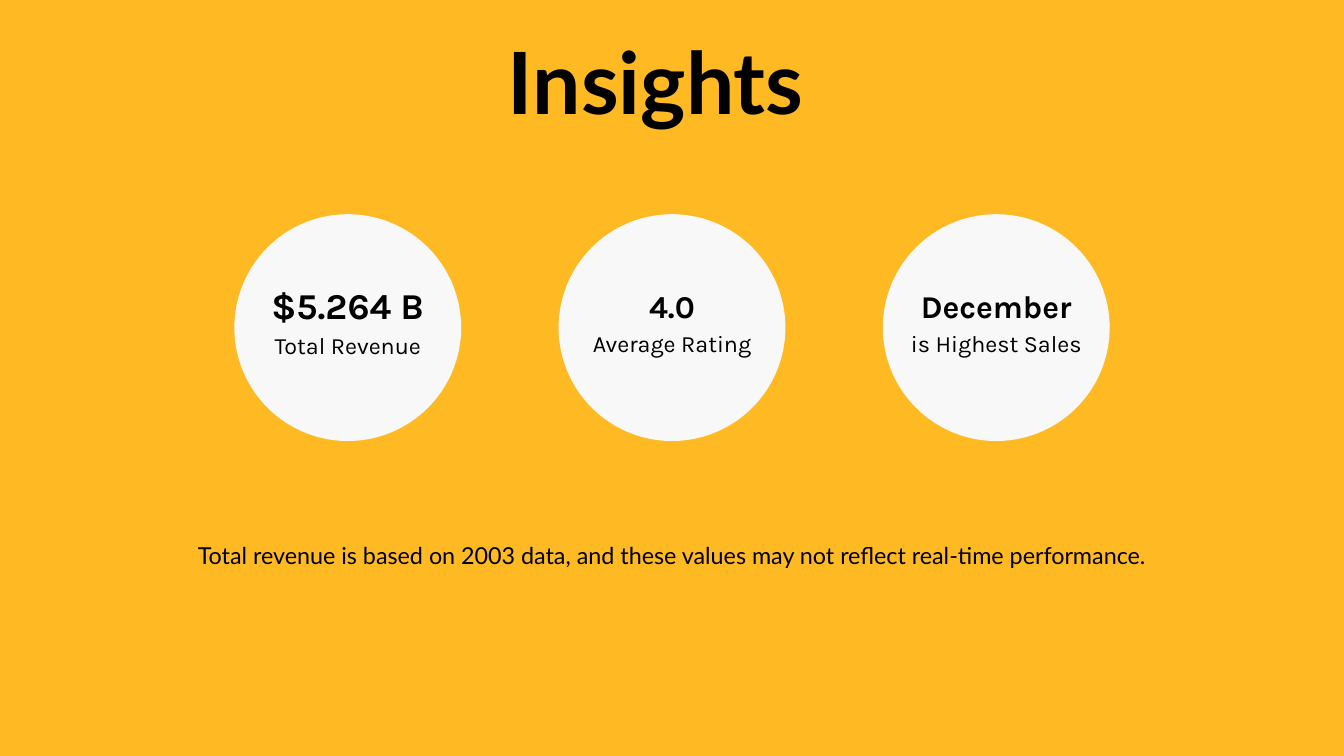
"""Build the Insights slide with three key figures in circles."""
from dataclasses import dataclass

from pptx import Presentation
from pptx.dml.color import RGBColor
from pptx.enum.shapes import MSO_SHAPE
from pptx.enum.text import MSO_ANCHOR, PP_ALIGN
from pptx.slide import Slide
from pptx.util import Pt

OVAL = MSO_SHAPE.OVAL
TOP, MIDDLE = MSO_ANCHOR.TOP, MSO_ANCHOR.MIDDLE
CENTER = PP_ALIGN.CENTER

COLORS = {"background": "FFB923", "circle": "F8F8F8", "text": "000000"}
SLIDE_WIDTH, SLIDE_HEIGHT = 1440, 810
LINE_FACTOR = 1.4
BODY_SIZE = 25

CIRCLE_TOP, DIAMETER, PITCH = 229.5, 243, 347.4
LABEL_WIDTH, LABEL_BOTTOM, LABEL_INSET = 197.4, 450, 4


@dataclass(frozen=True)
class Line:
    text: str
    size: float
    font: str
    bold: bool = False


@dataclass(frozen=True)
class Frame:
    left: float
    top: float
    width: float
    height: float


@dataclass(frozen=True)
class Figure:
    value: str
    caption: str
    value_size: float
    label_top: float


FIGURES = (
    Figure("$5.264 B", "Total Revenue", 39, 229.7),
    Figure("4.0", "Average Rating", 34, 232.6),
    Figure("December", "is Highest Sales", 34, 232.6),
)


def color(name: str) -> RGBColor:
    return RGBColor.from_string(COLORS[name])


def add_text(page: Slide, frame: Frame, lines: list[Line],
             anchor: MSO_ANCHOR = TOP, inset: float = 0) -> None:
    box = page.shapes.add_textbox(Pt(frame.left), Pt(frame.top), Pt(frame.width), Pt(frame.height))
    text_frame = box.text_frame
    text_frame.word_wrap = True
    text_frame.vertical_anchor = anchor
    text_frame.margin_left = text_frame.margin_right = Pt(inset)
    text_frame.margin_top = text_frame.margin_bottom = Pt(inset)
    text_frame.text = "\n".join(line.text for line in lines)
    for para, line in zip(text_frame.paragraphs, lines):
        para.alignment = CENTER
        para.line_spacing = Pt(line.size * LINE_FACTOR)
        for span in para.runs:
            span.font.name = line.font
            span.font.size = Pt(line.size)
            span.font.bold = line.bold
            span.font.color.rgb = color("text")


def add_figure(page: Slide, figure: Figure, center: float) -> None:
    circle = page.shapes.add_shape(
        OVAL, Pt(center - DIAMETER / 2), Pt(CIRCLE_TOP), Pt(DIAMETER), Pt(DIAMETER))
    circle.shadow.inherit = False
    circle.fill.solid()
    circle.fill.fore_color.rgb = color("circle")
    circle.line.fill.background()
    frame = Frame(center - LABEL_WIDTH / 2, figure.label_top,
                  LABEL_WIDTH, LABEL_BOTTOM - figure.label_top)
    lines = [Line(figure.value, figure.value_size, "Karla", True),
             Line(figure.caption, BODY_SIZE, "Karla")]
    add_text(page, frame, lines, MIDDLE, LABEL_INSET)


def main() -> None:
    deck = Presentation()
    deck.slide_width, deck.slide_height = Pt(SLIDE_WIDTH), Pt(SLIDE_HEIGHT)
    page = deck.slides.add_slide(deck.slide_layouts[6])
    page.background.fill.solid()
    page.background.fill.fore_color.rgb = color("background")

    for index, figure in enumerate(FIGURES):
        add_figure(page, figure, SLIDE_WIDTH / 2 + (index - 1) * PITCH)

    add_text(page, Frame(525.6, 12.2, 354.2, 123.1), [Line("Insights", 92, "Lato", True)])
    note = ("Total revenue is based on 2003 data, and these values "
            "may not reflect real-time performance.")
    add_text(page, Frame(155.5, 575.3, 1128.2, 33.8), [Line(note, BODY_SIZE, "Lato")])
    deck.save("out.pptx")


if __name__ == "__main__":
    main()
